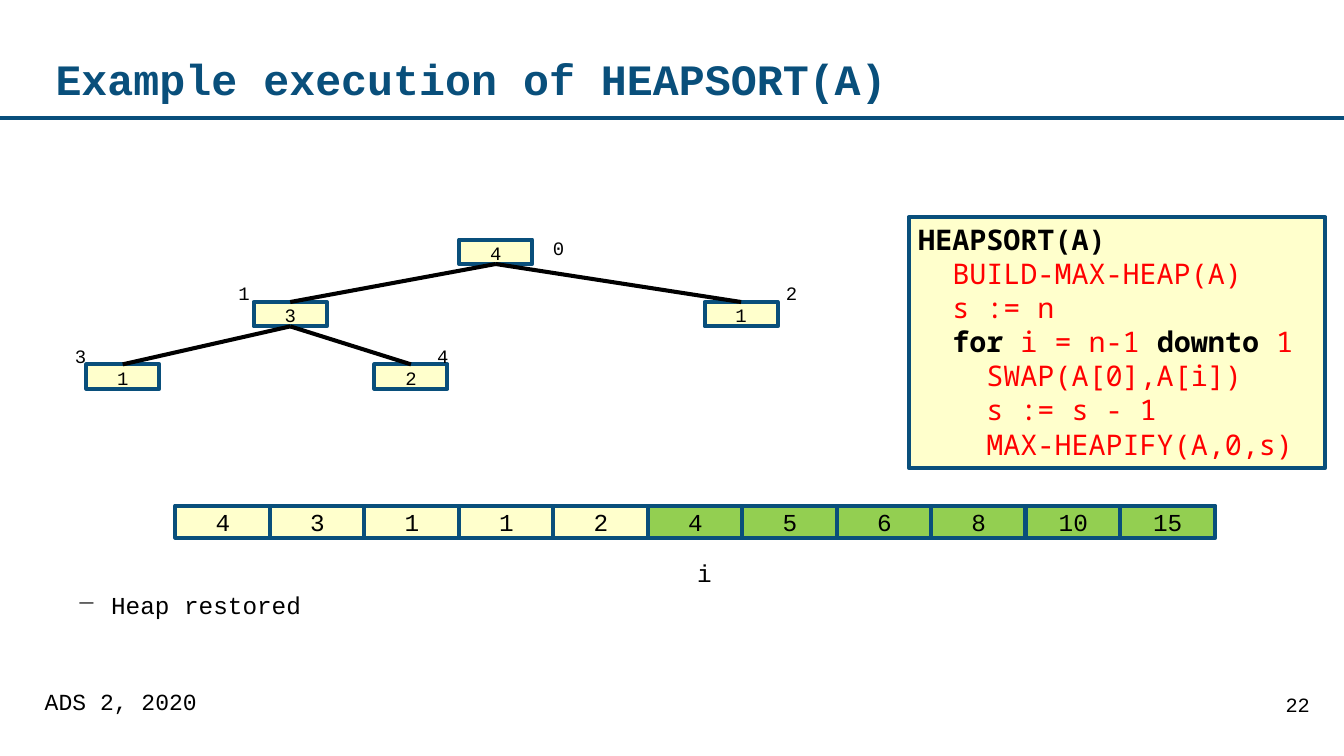
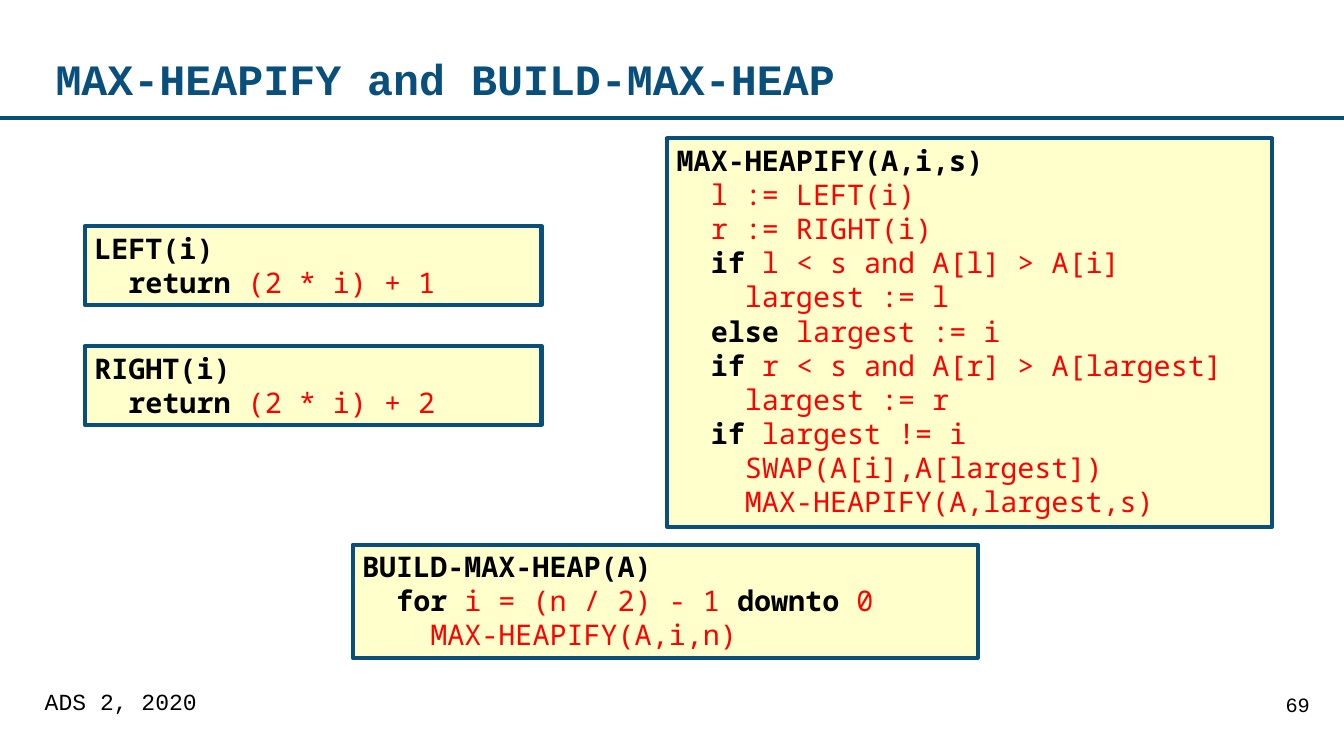
import itertools

import lxml.etree
import pptx
import pptx.dml.color
import pptx.enum.shapes
import pptx.enum.text
import pptx.oxml.ns
import pptx.util

Inches = pptx.util.Inches
ALIGN = pptx.enum.text.PP_ALIGN
MIDDLE = pptx.enum.text.MSO_ANCHOR.MIDDLE
TOP = pptx.enum.text.MSO_ANCHOR.TOP

BLUE, BLACK, RED = "094F7B", "000000", "FF0000"
CREAM, GREEN = "FFFFCC", "93CF51"
SLIDE_WIDTH, SLIDE_HEIGHT = 13.8, 7.76
TEXT_FONT, CODE_FONT = "Courier New", "Noto Sans Mono"
CODE_SIZE, CODE_INDENT = 21, 0.35
KEYWORDS = {"for", "downto", "if", "else", "return"}
DEFAULT_INSETS = (0.1, 0.05, 0.1, 0.05)
CELL_INSETS = (0.1, 0.1, 0.1, 0.04)

HEAPSORT = [
    (0, "HEAPSORT(A)"),
    (1, "BUILD-MAX-HEAP(A)"),
    (1, "s := n"),
    (1, "for i = n-1 downto 1"),
    (2, "SWAP(A[0],A[i])"),
    (2, "s := s - 1"),
    (2, "MAX-HEAPIFY(A,0,s)"),
]
LEFT = [(0, "LEFT(i)"), (1, "return (2 * i) + 1")]
RIGHT = [(0, "RIGHT(i)"), (1, "return (2 * i) + 2")]
MAX_HEAPIFY = [
    (0, "MAX-HEAPIFY(A,i,s)"),
    (1, "l := LEFT(i)"),
    (1, "r := RIGHT(i)"),
    (1, "if l < s and A[l] > A[i]"),
    (2, "largest := l"),
    (1, "else largest := i"),
    (1, "if r < s and A[r] > A[largest]"),
    (2, "largest := r"),
    (1, "if largest != i"),
    (2, "SWAP(A[i],A[largest])"),
    (2, "MAX-HEAPIFY(A,largest,s)"),
]
BUILD_MAX_HEAP = [
    (0, "BUILD-MAX-HEAP(A)"),
    (1, "for i = (n / 2) - 1 downto 0"),
    (2, "MAX-HEAPIFY(A,i,n)"),
]


def color(value):
    """Turn a hex string into a colour."""
    return pptx.dml.color.RGBColor.from_string(value)


def write(paragraph, text, *, size, ink=BLACK, bold=False, font=TEXT_FONT,
          align=ALIGN.LEFT, spacing=1.0):
    """Append formatted text to a paragraph."""
    run = paragraph.add_run()
    run.text = text
    run.font.size = pptx.util.Pt(size)
    run.font.name = font
    run.font.bold = bold
    run.font.color.rgb = color(ink)
    paragraph.alignment = align
    paragraph.line_spacing = spacing


def set_frame(frame, insets, anchor):
    """Set the wrapping, insets and anchor of a text frame."""
    frame.word_wrap = True
    frame.vertical_anchor = anchor
    (frame.margin_left, frame.margin_top,
     frame.margin_right, frame.margin_bottom) = map(Inches, insets)


def add_label(slide, at, text, *, insets=DEFAULT_INSETS, anchor=TOP, **style):
    """Add a one-paragraph text box and return its paragraph."""
    frame = slide.shapes.add_textbox(*map(Inches, at)).text_frame
    set_frame(frame, insets, anchor)
    write(frame.paragraphs[0], text, **style)
    return frame.paragraphs[0]


def add_panel(slide, at, *, fill=CREAM, insets=DEFAULT_INSETS, anchor=TOP):
    """Add an outlined rectangle."""
    panel = slide.shapes.add_shape(
        pptx.enum.shapes.MSO_SHAPE.RECTANGLE, *map(Inches, at))
    panel.shadow.inherit = False
    panel.fill.solid()
    panel.fill.fore_color.rgb = color(fill)
    panel.line.color.rgb = color(BLUE)
    panel.line.width = pptx.util.Pt(3)
    set_frame(panel.text_frame, insets, anchor)
    return panel


def add_cell(slide, at, value, *, size, fill=CREAM):
    """Add a rectangle holding one centred value."""
    cell = add_panel(slide, at, fill=fill, insets=CELL_INSETS, anchor=MIDDLE)
    write(cell.text_frame.paragraphs[0], str(value), size=size,
          align=ALIGN.CENTER, spacing=0.82)
    return cell


def add_line(slide, start, end, *, ink, width):
    """Add a straight line between two points."""
    line = slide.shapes.add_connector(
        pptx.enum.shapes.MSO_CONNECTOR.STRAIGHT, *map(Inches, start + end))
    line.line.color.rgb = color(ink)
    line.line.width = pptx.util.Pt(width)
    properties = line.element.find(pptx.oxml.ns.qn("p:spPr"))
    lxml.etree.SubElement(properties, pptx.oxml.ns.qn("a:effectLst"))
    return line


def add_code(slide, at, lines):
    """Add a listing with a bold heading and bold keywords."""
    frame = add_panel(slide, at).text_frame
    for number, (level, line) in enumerate(lines):
        paragraph = frame.add_paragraph() if number else frame.paragraphs[0]
        paragraph._p.get_or_add_pPr().set(
            "marL", str(Inches(level * CODE_INDENT)))
        words = line.replace(" ", " \n").split("\n")
        for strong, group in itertools.groupby(
                words, lambda word: level == 0 or word.strip() in KEYWORDS):
            write(paragraph, "".join(group), size=CODE_SIZE, font=CODE_FONT,
                  bold=strong, ink=BLACK if strong else RED)


def add_bullet(slide, at, text):
    """Add a line of text with a dash bullet."""
    paragraph = add_label(slide, at, text, insets=(0, 0, 0, 0), size=18)
    properties = paragraph._p.get_or_add_pPr()
    properties.set("marL", str(Inches(0.57)))
    properties.set("indent", str(Inches(-0.35)))
    qn = pptx.oxml.ns.qn
    tint = lxml.etree.SubElement(properties, qn("a:buClr"))
    lxml.etree.SubElement(tint, qn("a:srgbClr"), val=BLACK)
    lxml.etree.SubElement(properties, qn("a:buChar"), char="−")


def add_tree(slide, values, centers, index_places):
    """Add a binary heap with its indices and edges."""
    width, height, top, level_step = 0.75, 0.25, 2.46, 0.64
    nodes = []
    for index, (value, center) in enumerate(zip(values, centers)):
        level = (index + 1).bit_length() - 1
        at = (center - width / 2, top + level * level_step, width, height)
        nodes.append(add_cell(slide, at, value, size=14))
    for child in range(1, len(nodes)):
        edge = add_line(slide, (0, 0), (1, 1), ink=BLACK, width=3)
        edge.begin_connect(nodes[(child - 1) // 2], 2)
        edge.end_connect(nodes[child], 0)
    for index, place in enumerate(index_places):
        add_label(slide, place + (0.23, 0.34), str(index), size=14)


def add_array(slide, values, sorted_from):
    """Add the array as a row of cells, its sorted part in green."""
    left, step = 1.8, 0.97
    for index, value in enumerate(values):
        add_cell(slide, (left + index * step, 5.19, 0.98, 0.33), value,
                 size=18, fill=GREEN if index >= sorted_from else CREAM)


def add_slide(deck, title, number):
    """Add a slide with the shared title, rule and footer."""
    slide = deck.slides.add_slide(deck.slide_layouts[6])
    add_line(slide, (0, 1.21), (SLIDE_WIDTH, 1.21), ink=BLUE, width=2.75)
    add_label(slide, (0.57, 0.35, 11.78, 0.89), title, insets=(0, 0, 0, 0),
              anchor=MIDDLE, size=32, ink=BLUE, bold=True, spacing=1.04)
    add_label(slide, (11.34, 7.06, 2.23, 0.53), str(number),
              insets=(0.12, 0.06, 0.12, 0.06), size=15, align=ALIGN.RIGHT,
              spacing=0.96)
    add_label(slide, (0.35, 7.06, 8.73, 0.53), "ADS 2, 2020",
              insets=(0.11, 0.05, 0.11, 0.05), size=17, spacing=0.82)
    return slide


def main():
    """Build and save the slides."""
    deck = pptx.Presentation()
    deck.slide_width = Inches(SLIDE_WIDTH)
    deck.slide_height = Inches(SLIDE_HEIGHT)

    example = add_slide(deck, "Example execution of HEAPSORT(A)", 22)
    add_tree(example, [4, 3, 1, 1, 2], [5.09, 2.98, 7.61, 1.26, 4.22],
             [(5.58, 2.38), (2.35, 2.84), (7.97, 2.84), (0.67, 3.49),
              (4.39, 3.49)])
    add_code(example, (9.33, 2.23, 4.28, 2.57), HEAPSORT)
    add_array(example, [4, 3, 1, 1, 2, 4, 5, 6, 8, 10, 15], 5)
    add_label(example, (7.06, 5.68, 0.44, 0.4), "i", size=18)
    add_bullet(example, (0.57, 6.06, 12.65, 0.4), "Heap restored")

    procedures = add_slide(deck, "MAX-HEAPIFY and BUILD-MAX-HEAP", 69)
    add_code(procedures, (0.87, 2.32, 4.69, 0.81), LEFT)
    add_code(procedures, (0.87, 3.55, 4.69, 0.81), RIGHT)
    add_code(procedures, (6.85, 1.42, 6.21, 3.99), MAX_HEAPIFY)
    add_code(procedures, (3.62, 5.59, 6.42, 1.16), BUILD_MAX_HEAP)

    deck.save("out.pptx")


if __name__ == "__main__":
    main()
